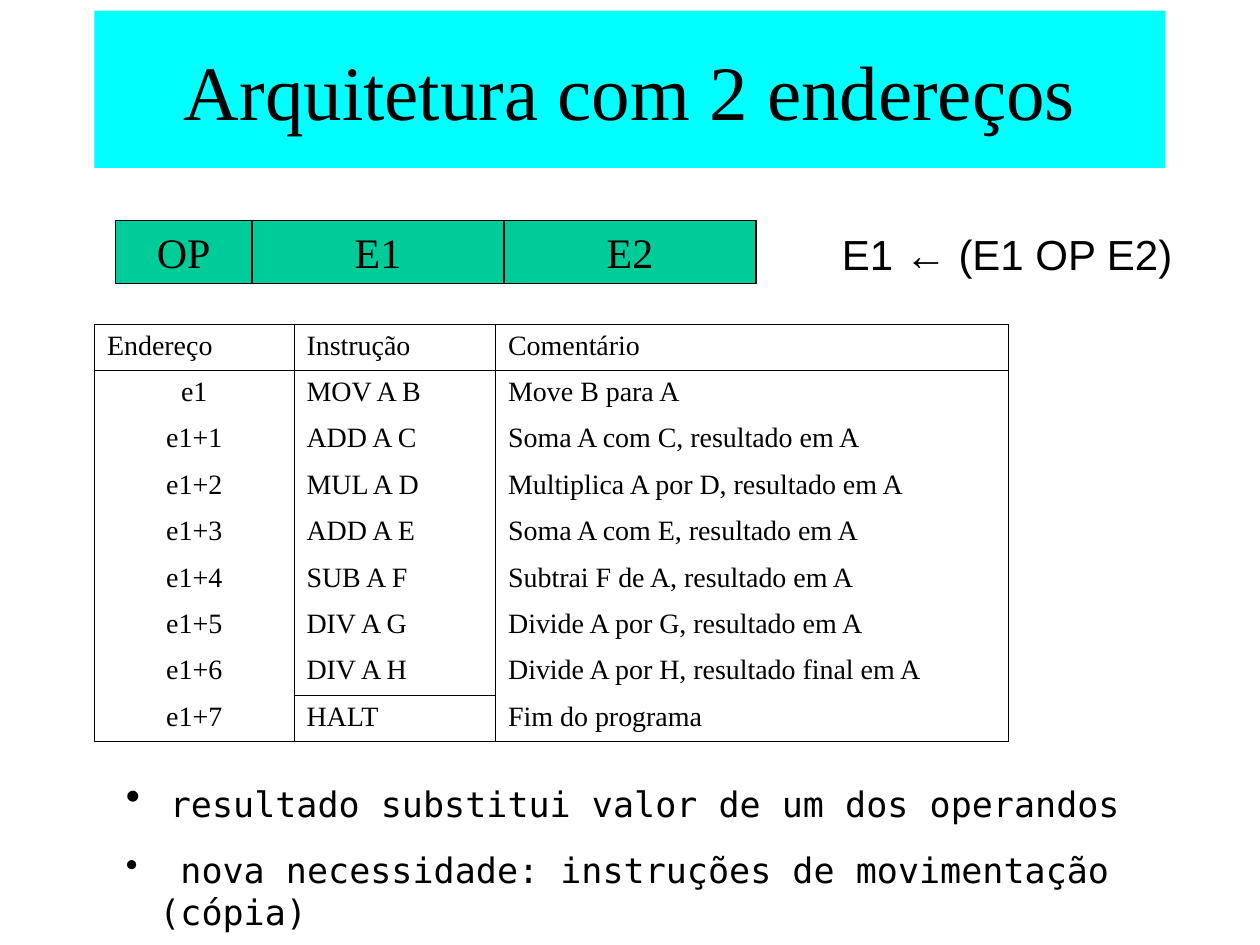
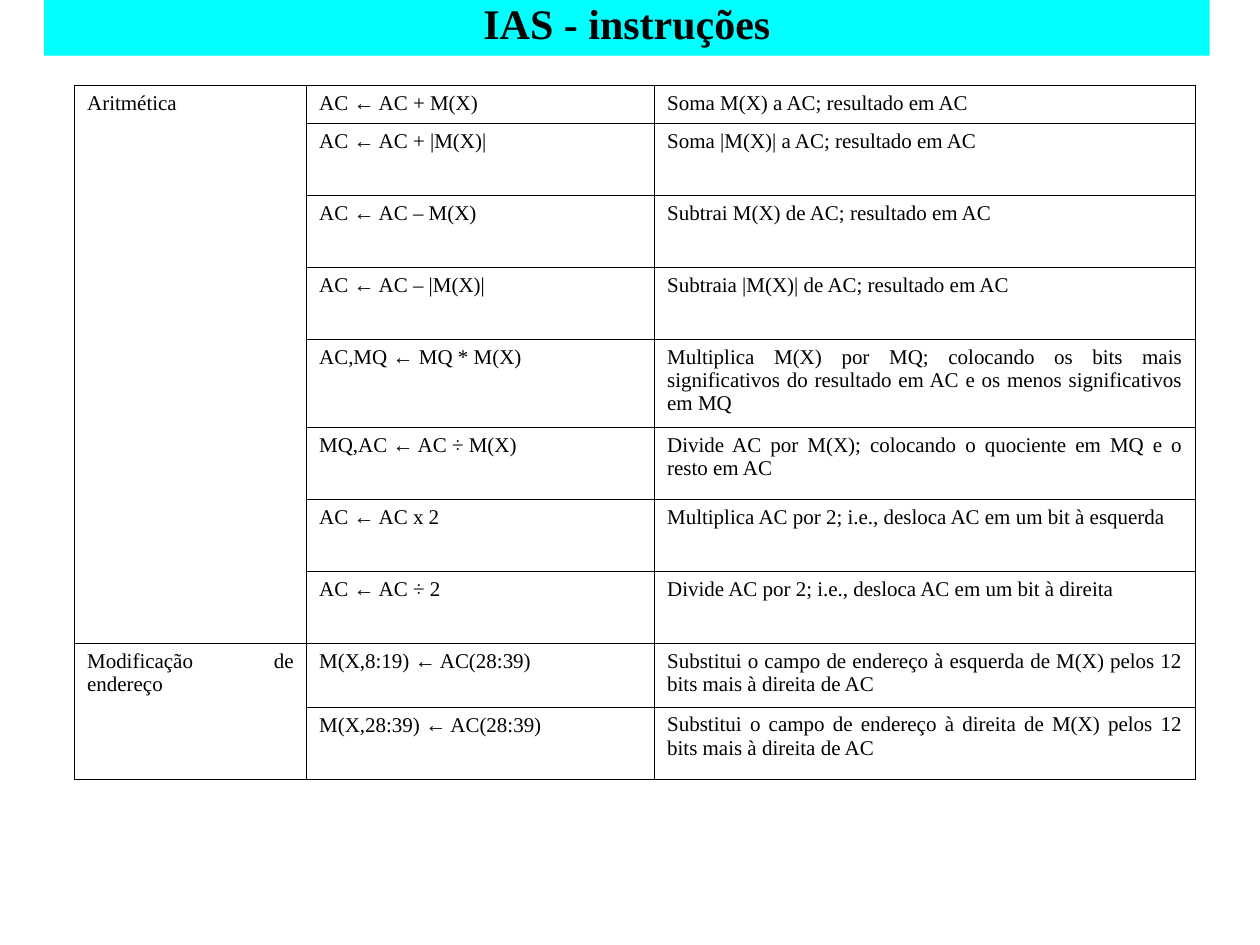
import pptx
import pptx.util
import pptx.dml.color
import pptx.enum.shapes
import pptx.enum.text
import pptx.oxml


class Theme:
    ink = pptx.dml.color.RGBColor.from_string("000000")
    band = pptx.dml.color.RGBColor.from_string("00FFFF")
    field = pptx.dml.color.RGBColor.from_string("00CC99")
    serif, sans, mono = "Times New Roman", "Arial", "DejaVu Sans Mono"
    title, label, note, code, small = 44, 24, 20, 16, 12
    rule = 0.75
    hair = 0.45


Align = pptx.enum.text.PP_ALIGN
Pt = pptx.util.Pt

deck = pptx.Presentation()
deck.slide_width = pptx.util.Inches(10)
deck.slide_height = pptx.util.Inches(7.5)
unit = deck.slide_width / 120


def put(para, text, font=Theme.serif, size=Theme.label, bold=False, align=None, lead=None):
    if align is not None:
        para.alignment = align
    if lead is not None:
        para.line_spacing = lead
    run = para.add_run()
    run.text = text
    run.font.name = font
    run.font.size = Pt(size)
    run.font.bold = bold
    run.font.color.rgb = Theme.ink


def grid(slide, left, top, cols, rows, data, lines, size, mid):
    place = [round(n * unit) for n in (left, top, sum(cols), sum(rows))]
    table = slide.shapes.add_table(len(rows), len(cols), *place).table
    table.first_row = table.horz_banding = False
    for col, wide in zip(table.columns, cols):
        col.width = round(wide * unit)
    for row, high in zip(table.rows, rows):
        row.height = round(high * unit)
    for r, line in enumerate(data):
        for c, text in enumerate(line):
            cell = table.cell(r, c)
            cell.fill.background()
            para = cell.text_frame.paragraphs[0]
            para.alignment = Align.CENTER if (r, c) in mid else Align.JUSTIFY
            for part in text.partition("←"):
                if part:
                    put(para, part, font=Theme.sans if part == "←" else Theme.serif, size=size)
            drawn = {"L": True, "R": True, "T": (r, c) in lines, "B": (r + 1, c) in lines}
            props = cell._tc.get_or_add_tcPr()
            for i, (side, shown) in enumerate(drawn.items()):
                paint = f'<a:solidFill><a:srgbClr val="{Theme.ink}"/></a:solidFill>' if shown else "<a:noFill/>"
                props.insert(i, pptx.oxml.parse_xml(
                    f'<a:ln{side} xmlns:a="http://schemas.openxmlformats.org/drawingml/2006/main" '
                    f'w="{Pt(Theme.hair)}">{paint}</a:ln{side}>'))


blank = deck.slide_layouts[6]
two = deck.slides.add_slide(blank)
ias = deck.slides.add_slide(blank)

head = {"size": Theme.title}
slim = {"bold": True, "lead": 0.8}
boxes = [
    (two, 9, 1, 102, 15, Theme.band, "Arquitetura com 2 endereços", head),
    (two, 11, 21, 13, 6, Theme.field, "OP", {}),
    (two, 24, 21, 24, 6, Theme.field, "E1", {}),
    (two, 48, 21, 24, 6, Theme.field, "E2", {}),
    (ias, 4.2, 0, 111, 5.3, Theme.band, "IAS - instruções", slim),
]
for slide, left, top, wide, high, fill, text, look in boxes:
    place = [round(n * unit) for n in (left, top, wide, high)]
    box = slide.shapes.add_shape(pptx.enum.shapes.MSO_SHAPE.RECTANGLE, *place)
    box.shadow.inherit = False
    box.fill.solid()
    box.fill.fore_color.rgb = fill
    if fill == Theme.field:
        box.line.color.rgb = Theme.ink
        box.line.width = Pt(Theme.rule)
    else:
        box.line.fill.background()
    box.text_frame.word_wrap = True
    box.text_frame.vertical_anchor = pptx.enum.text.MSO_ANCHOR.MIDDLE
    put(box.text_frame.paragraphs[0], text, align=Align.CENTER, **look)

place = [round(n * unit) for n in (79, 21.2, 37, 6)]
frame = two.shapes.add_textbox(*place).text_frame
frame.word_wrap = True
put(frame.paragraphs[0], "E1 ← (E1 OP E2)", font=Theme.sans)

steps = [
    ("MOV A B", "Move B para A"),
    ("ADD A C", "Soma A com C, resultado em A"),
    ("MUL A D", "Multiplica A por D, resultado em A"),
    ("ADD A E", "Soma A com E, resultado em A"),
    ("SUB A F", "Subtrai F de A, resultado em A"),
    ("DIV A G", "Divide A por G, resultado em A"),
    ("DIV A H", "Divide A por H, resultado final em A"),
    ("HALT", "Fim do programa"),
]
data = [("Endereço", "Instrução", "Comentário")]
data += [(f"e1+{i}" if i else "e1", *step) for i, step in enumerate(steps)]
lines = {(r, c) for r in (0, 1, len(data)) for c in range(3)} | {(len(steps), 1)}
mid = {(r, 0) for r in range(1, len(data))}
grid(two, 9, 30.85, (19, 19.2, 48.8), [4.42] * len(data), data, lines, Theme.code, mid)

place = [round(n * unit) for n in (10.8, 73.3, 101, 12.1)]
frame = two.shapes.add_textbox(*place).text_frame
frame.word_wrap = True
notes = [
    [(" ", {}), ("resultado substitui valor de um dos operandos", {"font": Theme.mono, "size": Theme.note})],
    [(" nova necessidade: instruções de movimentação (cópia)", {"font": Theme.mono, "size": Theme.note})],
]
for i, note in enumerate(notes):
    para = frame.add_paragraph() if i else frame.paragraphs[0]
    props = para._p.get_or_add_pPr()
    props.set("marL", str(round(3.2 * unit)))
    props.set("indent", str(round(-3.2 * unit)))
    props.append(pptx.oxml.parse_xml(
        '<a:buChar xmlns:a="http://schemas.openxmlformats.org/drawingml/2006/main" char="•"/>'))
    if i:
        para.space_before = Pt(12.5)
    for text, look in note:
        put(para, text, **look)

data = [
    ("Aritmética", "AC ← AC + M(X)", "Soma M(X) a AC; resultado em AC"),
    ("", "AC ← AC + |M(X)|", "Soma |M(X)| a AC; resultado em AC"),
    ("", "AC ← AC – M(X)", "Subtrai M(X) de AC; resultado em AC"),
    ("", "AC ← AC – |M(X)|", "Subtraia |M(X)| de AC; resultado em AC"),
    ("", "AC,MQ ← MQ * M(X)", "Multiplica M(X) por MQ; colocando os bits mais "
     "significativos do resultado em AC e os menos significativos em MQ"),
    ("", "MQ,AC ← AC ÷ M(X)", "Divide AC por M(X); colocando o quociente em MQ e o resto em AC"),
    ("", "AC ← AC x 2", "Multiplica AC por 2; i.e., desloca AC em um bit à esquerda"),
    ("", "AC ← AC ÷ 2", "Divide AC por 2; i.e., desloca AC em um bit à direita"),
    ("Modificação de endereço", "M(X,8:19) ← AC(28:39)",
     "Substitui o campo de endereço à esquerda de M(X) pelos 12 bits mais à direita de AC"),
    ("", "M(X,28:39) ← AC(28:39)",
     "Substitui o campo de endereço à direita de M(X) pelos 12 bits mais à direita de AC"),
]
last = len(data)
lines = {(r, c) for r in range(last + 1) for c in (1, 2)}
lines |= {(r, 0) for r in range(last + 1) if r == last or data[r][0]}
rows = [6.86] * last
rows[0], rows[4], rows[8] = 3.62, 8.38, 6.05
grid(ias, 7.1, 8.1, (22.1, 33.15, 51.5), rows, data, lines, Theme.small, set())

deck.save("out.pptx")
